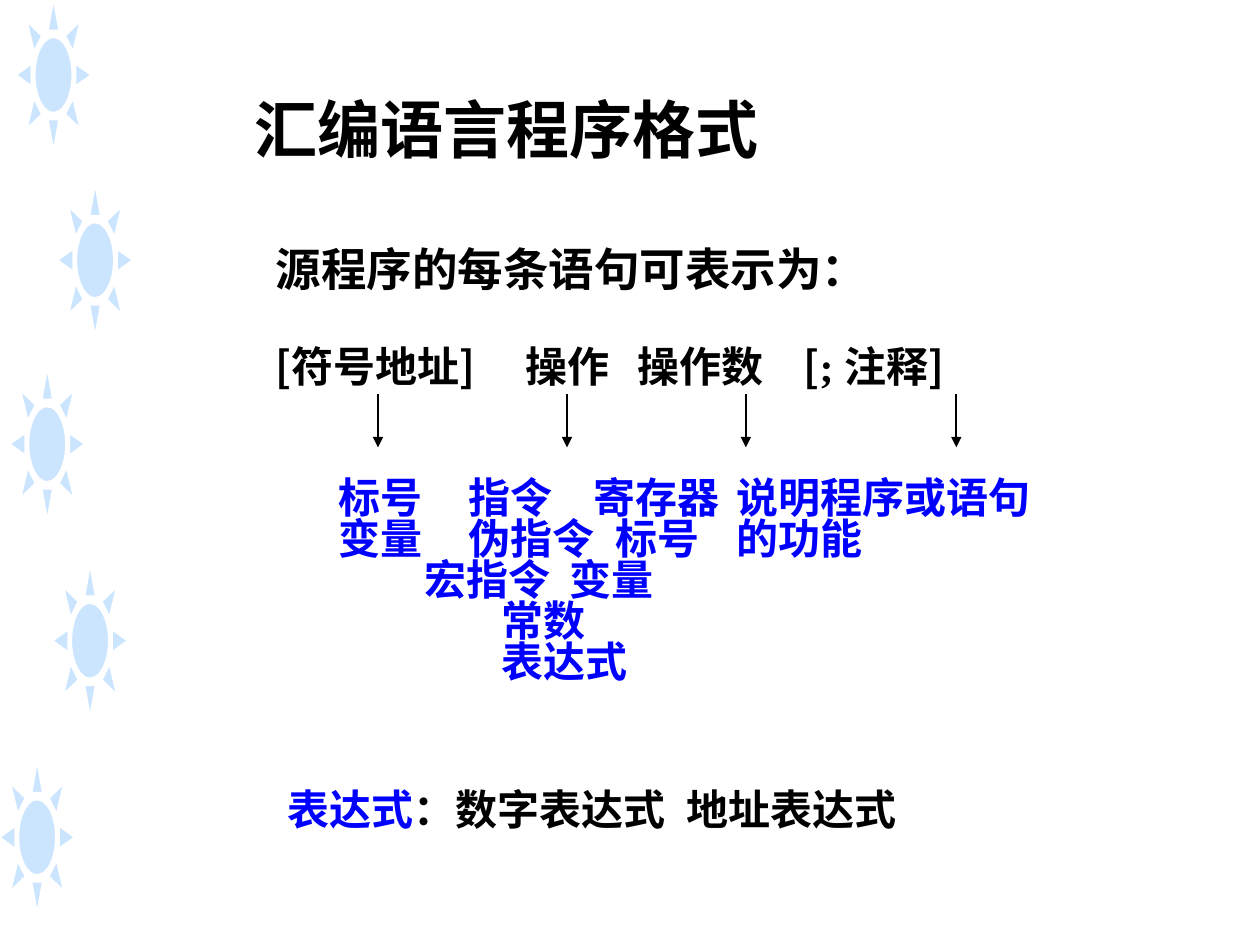
from lxml import etree
from pptx import Presentation
from pptx.dml.color import RGBColor
from pptx.enum.shapes import MSO_CONNECTOR, MSO_SHAPE
from pptx.enum.text import MSO_ANCHOR
from pptx.oxml.ns import qn
from pptx.util import Inches, Pt

BLACK = RGBColor(0x00, 0x00, 0x00)
BLUE = RGBColor(0x00, 0x00, 0xFF)
SKY = RGBColor(0x99, 0xCC, 0xFF)
WHITE = RGBColor(0xFF, 0xFF, 0xFF)
CJK = "Noto Sans CJK SC"

prs = Presentation()
prs.slide_width, prs.slide_height = Inches(10), Inches(7.5)
slide = prs.slides.add_slide(prs.slide_layouts[6])


def add_text(box, lines, size=24, color=BLACK, font=CJK, anchor=MSO_ANCHOR.TOP,
             spacing=None, before=None, inset=0.1):
    """Each line is (runs, tab stops in inches); a run is (text, own format)."""
    frame = slide.shapes.add_textbox(*map(Inches, box)).text_frame
    frame.word_wrap = True
    frame.vertical_anchor = anchor
    frame.margin_left = Inches(inset)
    for index, (runs, stops) in enumerate(lines):
        paragraph = frame.paragraphs[0] if index == 0 else frame.add_paragraph()
        paragraph.line_spacing = spacing
        paragraph.space_before = before
        if stops:
            tabs = etree.SubElement(paragraph._p.get_or_add_pPr(), qn("a:tabLst"))
            for stop in stops:
                etree.SubElement(tabs, qn("a:tab"), pos=str(Inches(stop)), algn="l")
        for text, own in runs:
            run = paragraph.add_run()
            run.text = text
            run.font.bold = True
            run.font.size = Pt(own.get("size", size))
            run.font.color.rgb = own.get("color", color)
            run.font.name = own.get("font", font)
            etree.SubElement(run.font._element, qn("a:ea"), typeface=CJK)


# Column of suns along the left edge
for left, top in [(0.13, 0), (0.46, 1.47), (0.08, 2.93), (0.42, 4.49), (0, 6.05)]:
    sun = slide.shapes.add_shape(MSO_SHAPE.SUN, Inches(left), Inches(top),
                                 Inches(0.59), Inches(1.19))
    sun.shadow.inherit = False
    sun.fill.solid()
    sun.fill.fore_color.rgb = SKY
    sky = sun._element.spPr.find(qn("a:solidFill"))[0]
    etree.SubElement(sky, qn("a:alpha"), val="50000")
    sun.line.color.rgb = WHITE
    sun.line.width = Pt(0.75)

add_text((1.92, 0.67, 4.26, 0.71), [([("汇编语言程序格式", {})], [])],
         size=36, font="Arial")

add_text((2.08, 6.17, 5.25, 0.5),
         [([("表达式", {"color": BLUE}), ("：数字表达式\t地址表达式", {})], [3.17])],
         anchor=MSO_ANCHOR.MIDDLE, inset=0.2)

# What each field of a statement may hold
field_rows = [
    ("标号\t指令\t寄存器\t说明程序或语句", [1.03, 2.02, 3.16]),
    ("变量\t伪指令\t标号\t的功能", [1.03, 2.2, 3.16]),
    ("\t宏指令\t变量", [0.68, 1.83]),
    ("\t常数", [1.29]),
    ("\t表达式", [1.29]),
]
add_text((2.59, 3.72, 6.7, 1.9), [([(row, {})], stops) for row, stops in field_rows],
         color=BLUE, anchor=MSO_ANCHOR.MIDDLE, spacing=0.5, before=Pt(9))

# Arrows from the statement fields to their contents
for x in (3, 4.5, 5.92, 7.59):
    arrow = slide.shapes.add_connector(MSO_CONNECTOR.STRAIGHT, Inches(x), Inches(3.13),
                                       Inches(x), Inches(3.55))
    arrow.line.color.rgb = BLACK
    arrow.line.width = Pt(1)
    etree.SubElement(arrow.line._get_or_add_ln(), qn("a:tailEnd"), type="triangle")
    etree.SubElement(arrow._element.spPr, qn("a:effectLst"))

statement = [("[符号地址]\t操作\t操作数\t[", {}),
             ("; ", {"font": "Times New Roman"}),
             ("注释]", {})]
add_text((2.09, 1.47, 6.25, 1.68),
         [([("源程序的每条语句可表示为：", {"size": 26})], []),
          (statement, [1.98, 2.87, 4.19])],
         spacing=1.9)

prs.save("out.pptx")
